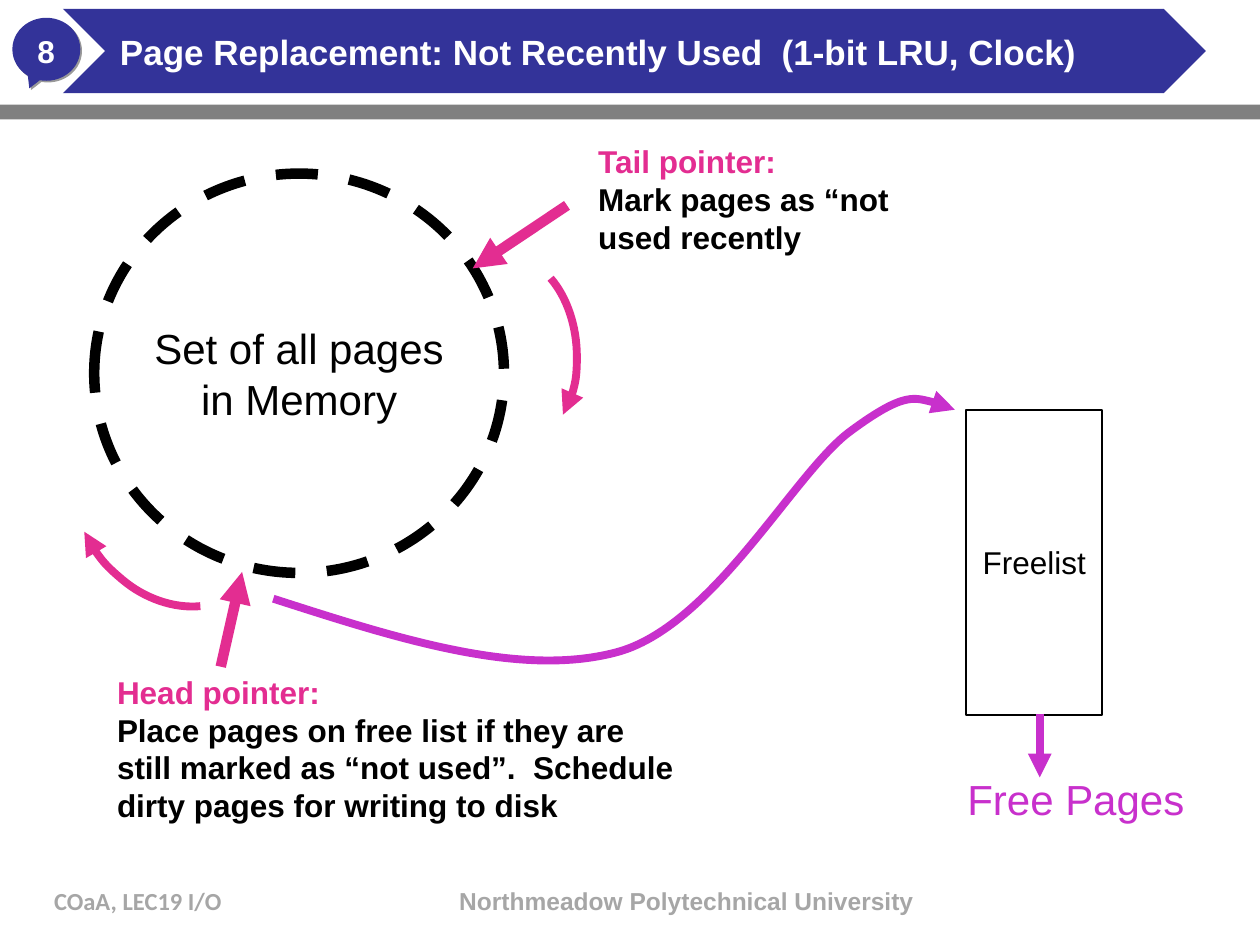
from lxml.etree import SubElement
from pptx import Presentation
from pptx.dml.color import RGBColor
from pptx.enum.dml import MSO_LINE_DASH_STYLE as Dash
from pptx.enum.shapes import MSO_CONNECTOR as Link, MSO_SHAPE as Shape
from pptx.enum.text import MSO_ANCHOR as Anchor, PP_ALIGN as Align
from pptx.oxml.ns import qn
from pptx.util import Cm, Pt

NAVY, GRAY, SHADE, MUTED = "333399", "808080", "999999", "A6A6A6"
PINK, PURPLE, BLACK, WHITE = "E32D91", "C830CC", "000000", "FFFFFF"


def color(hex_code):
    return RGBColor.from_string(hex_code)


def write(target, text, size=18, font="Arial", ink=BLACK, heading=None, bold=False,
          align=Align.LEFT, anchor=Anchor.TOP, wrap=True, inset=None, spacing=None):
    frame = target.text_frame
    frame.word_wrap = wrap
    frame.vertical_anchor = anchor
    if inset is not None:
        frame.margin_left = frame.margin_right = Cm(inset)
        frame.margin_top = frame.margin_bottom = Cm(inset)
    for index, line in enumerate(text.split("\n")):
        paragraph = frame.add_paragraph() if index else frame.paragraphs[0]
        paragraph.alignment = align
        paragraph.line_spacing = spacing
        run = paragraph.add_run()
        run.text = line
        run.font.name, run.font.size, run.font.bold = font, Pt(size), bold
        run.font.color.rgb = color(heading if heading and index == 0 else ink)


class Board:
    def __init__(self, slide):
        self.shapes = slide.shapes

    def stroke(self, line, ink, width, arrow=False):
        line.color.rgb = color(ink)
        line.width = Pt(width)
        if arrow:
            SubElement(line._get_or_add_ln(), qn("a:tailEnd"), type="triangle")

    def shape(self, kind, box, fill=None, ink=None, width=1, dash=None):
        item = self.shapes.add_shape(kind, *map(Cm, box))
        item.shadow.inherit = False
        if fill:
            item.fill.solid()
            item.fill.fore_color.rgb = color(fill)
        else:
            item.fill.background()
        if ink:
            self.stroke(item.line, ink, width)
            if dash:
                item.line.dash_style = dash
        else:
            item.line.fill.background()
        return item

    def callout(self, box, fill, tip):
        item = self.shape(Shape.OVAL_CALLOUT, box, fill)
        for index, offset in enumerate(tip):
            item.adjustments[index] = offset
        effects = item._element.spPr.find(qn("a:effectLst"))
        shadow = SubElement(effects, qn("a:outerShdw"), dist=str(Pt(1.4)), dir="2700000")
        SubElement(shadow, qn("a:srgbClr"), val=SHADE)

    def text(self, box, text, **style):
        write(self.shapes.add_textbox(*map(Cm, box)), text, **style)

    def arrow(self, start, end, ink, width):
        link = self.shapes.add_connector(Link.STRAIGHT, *map(Cm, start + end))
        self.stroke(link.line, ink, width, arrow=True)
        SubElement(link._element.spPr, qn("a:effectLst"))

    def curve(self, points, ink, width):
        start, *controls = [(Cm(x), Cm(y)) for x, y in points]
        builder = self.shapes.build_freeform(*start)
        builder.add_line_segments(controls, close=False)
        item = builder.convert_to_shape()
        item.shadow.inherit = False
        item.fill.background()
        self.stroke(item.line, ink, width, arrow=True)
        outline = next(item._element.iter(qn("a:path")))
        segments = outline.findall(qn("a:lnTo"))
        for first in range(0, len(segments), 3):
            bezier = SubElement(outline, qn("a:cubicBezTo"))
            for segment in segments[first:first + 3]:
                bezier.append(segment[0])
                outline.remove(segment)


def main():
    deck = Presentation()
    deck.slide_width, deck.slide_height = Cm(25.4), Cm(19.05)
    board = Board(deck.slides.add_slide(deck.slide_layouts[6]))

    board.callout((0.25, 0.36, 1.37, 1.27), NAVY, tip=(-0.25, 0.62))
    board.shape(Shape.RECTANGLE, (0, 2.11, 25.4, 0.3), GRAY)
    board.shape(Shape.CHEVRON, (1.27, 0.18, 23.04, 1.7), NAVY)
    board.text((0.41, 0.51, 1.04, 1.02), "8", ink=WHITE, bold=True,
               align=Align.CENTER, wrap=False, inset=0.13)
    board.text((2.34, 0.64, 22.4, 1.02),
               "Page Replacement: Not Recently Used  (1-bit LRU, Clock)",
               size=20, ink=WHITE, bold=True, inset=0.08, spacing=0.9)
    board.text((0.84, 17.73, 5.28, 1.27), "COaA, LEC19 I/O",
               size=14, font="Calibri", ink=MUTED, bold=True)
    board.text((8.86, 17.73, 9.96, 1.27), "Northmeadow Polytechnical University",
               size=14, ink=MUTED, bold=True, align=Align.CENTER)

    page_ring = board.shape(Shape.OVAL, (1.9, 3.5, 8.26, 8.05),
                            ink=BLACK, width=6, dash=Dash.DASH)
    write(page_ring, "Set of all pages\nin Memory", size=24,
          align=Align.CENTER, anchor=Anchor.MIDDLE, wrap=False)

    board.arrow((11.43, 4.14), (9.53, 5.41), PINK, 6)
    board.arrow((4.45, 13.44), (4.88, 11.53), PINK, 6)
    board.text((11.81, 2.74, 7.24, 2.54),
               "Tail pointer:\nMark pages as “not used recently",
               heading=PINK, bold=True)
    board.text((2.11, 13.44, 11.86, 4.06),
               "Head pointer:\nPlace pages on free list if they are still marked as "
               "“not used”.  Schedule dirty pages for writing to disk",
               heading=PINK, bold=True)

    tail_sweep = [(11.1, 5.61), (11.43, 5.99), (11.63, 6.58), (11.63, 7.19),
                  (11.63, 7.59), (11.56, 8.03), (11.35, 8.36)]
    head_sweep = [(4.04, 12.22), (3.51, 12.27), (2.92, 12.07), (2.46, 11.68),
                  (2.13, 11.4), (1.85, 11.07), (1.7, 10.72)]
    route_to_freelist = [(5.51, 12.07), (8.03, 12.88), (10.54, 13.69), (12.5, 13.13),
                         (14.43, 12.55), (16.03, 9.5), (17.15, 8.69),
                         (18.26, 7.87), (18.77, 8.05), (19.25, 8.26)]
    board.curve(tail_sweep, PINK, 4.5)
    board.curve(head_sweep, PINK, 4.5)

    freelist = board.shape(Shape.RECTANGLE, (19.48, 8.26, 2.74, 6.15), ink=BLACK)
    write(freelist, "Freelist", align=Align.CENTER, anchor=Anchor.MIDDLE, wrap=False)
    board.curve(route_to_freelist, PURPLE, 4.5)
    board.arrow((20.96, 14.4), (20.96, 15.67), PURPLE, 4.5)
    board.text((19.25, 15.47, 4.9, 1.27), "Free Pages", size=24, ink=PURPLE, wrap=False)

    deck.save("out.pptx")


if __name__ == "__main__":
    main()
